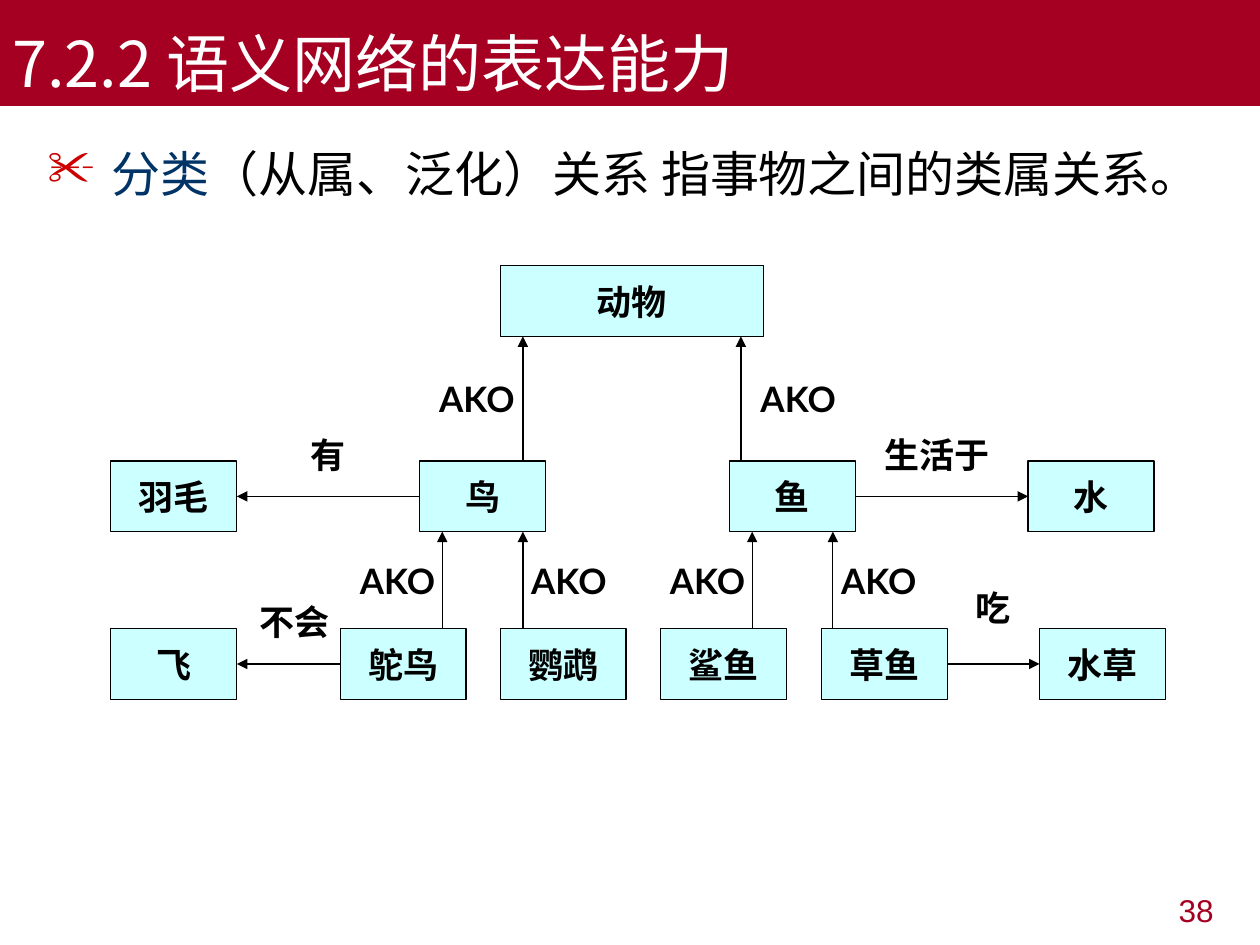
from dataclasses import dataclass
from typing import Optional

from lxml import etree
from pptx import Presentation
from pptx.dml.color import RGBColor
from pptx.enum import shapes, text
from pptx.oxml import ns
from pptx.util import Inches, Pt


@dataclass(frozen=True)
class Theme:
    crimson: RGBColor = RGBColor(0xA5, 0x00, 0x21)
    bullet: str = "CC0000"
    navy: RGBColor = RGBColor(0x00, 0x33, 0x66)
    node_fill: RGBColor = RGBColor(0xCC, 0xFF, 0xFF)
    black: RGBColor = RGBColor(0, 0, 0)
    white: RGBColor = RGBColor(0xFF, 0xFF, 0xFF)
    title_size: int = 36
    body_size: int = 28
    node_size: int = 20
    number_size: int = 18
    line_width: float = 0.75
    cjk_font: str = "Noto Sans CJK SC"
    body_font: str = "Arial"
    node_font: str = "Lato"


@dataclass(frozen=True)
class Node:
    name: str
    left: float
    top: float
    width: float = 1


@dataclass(frozen=True)
class Relation:
    """A sideways arrow between two nodes."""
    source: str
    target: str


@dataclass(frozen=True)
class Label:
    caption: str
    left: float
    top: float
    filled: bool = True


THEME = Theme()
NODE_HEIGHT = 0.56
LABEL_WIDTH, LABEL_HEIGHT = 0.55, 0.33
TOP_ROW, MIDDLE_ROW, BOTTOM_ROW = 2.11, 3.66, 4.99
TOP, LEFT, BOTTOM, RIGHT = range(4)

NODES = [
    Node("动物", 3.97, TOP_ROW, 2.09),
    *(Node(name, left, MIDDLE_ROW) for name, left in
      [("羽毛", 0.88), ("鸟", 3.33), ("鱼", 5.79), ("水", 8.16)]),
    *(Node(name, left, BOTTOM_ROW) for name, left in
      [("飞", 0.88), ("鸵鸟", 2.7), ("鹦鹉", 3.97),
       ("鲨鱼", 5.24), ("草鱼", 6.52), ("水草", 8.25)]),
]
RELATIONS = [Relation("鸟", "羽毛"), Relation("鱼", "水"),
             Relation("草鱼", "水草"), Relation("鸵鸟", "飞")]
# Row the arrows start from, row they reach, and their x positions
KIND_ARROWS = [(BOTTOM_ROW, MIDDLE_ROW, (3.51, 4.15, 5.97, 6.61)),
               (MIDDLE_ROW, TOP_ROW, (4.15, 5.88))]
LABELS = [
    *(Label("AKO", left, 4.44) for left in (2.88, 4.24, 5.34, 6.7)),
    *(Label("AKO", left, 3) for left in (6.06, 3.51)),
    Label("不会", 2.06, 4.77), Label("吃", 7.61, 4.66, filled=False),
    Label("有", 2.33, 3.44), Label("生活于", 7.16, 3.44),
]


def style_font(paragraph, size: int, name: str, color: Optional[RGBColor] = None,
               bold: bool = False) -> None:
    font = paragraph.font
    font.size, font.name, font.bold = Pt(size), name, bold
    if color is not None:
        font.color.rgb = color
    properties = paragraph._p.pPr.find(ns.qn("a:defRPr"))
    etree.SubElement(properties, ns.qn("a:ea"), typeface=THEME.cjk_font)


def add_box(slide, left: float, top: float, width: float, height: float,
            fill: Optional[RGBColor], outlined: bool = False):
    shape = slide.shapes.add_shape(shapes.MSO_SHAPE.RECTANGLE, Inches(left),
                                   Inches(top), Inches(width), Inches(height))
    shape.shadow.inherit = False
    if fill is None:
        shape.fill.background()
    else:
        shape.fill.solid()
        shape.fill.fore_color.rgb = fill
    if outlined:
        shape.line.color.rgb = THEME.black
        shape.line.width = Pt(THEME.line_width)
    else:
        shape.line.fill.background()
    return shape


def write_centred(shape, caption: str) -> None:
    frame = shape.text_frame
    frame.word_wrap = False
    frame.vertical_anchor = text.MSO_ANCHOR.MIDDLE
    paragraph = frame.paragraphs[0]
    paragraph.text = caption
    paragraph.alignment = text.PP_ALIGN.CENTER
    style_font(paragraph, THEME.node_size, THEME.node_font, THEME.black, bold=True)


def add_node(slide, node: Node):
    shape = add_box(slide, node.left, node.top, node.width, NODE_HEIGHT,
                    THEME.node_fill, outlined=True)
    write_centred(shape, node.name)
    return shape


def add_label(slide, label: Label) -> None:
    shape = add_box(slide, label.left, label.top, LABEL_WIDTH, LABEL_HEIGHT,
                    THEME.white if label.filled else None)
    write_centred(shape, label.caption)


def add_arrow(slide, x1: float, y1: float, x2: float, y2: float):
    arrow = slide.shapes.add_connector(shapes.MSO_CONNECTOR.STRAIGHT, Inches(x1),
                                       Inches(y1), Inches(x2), Inches(y2))
    arrow.line.color.rgb = THEME.black
    arrow.line.width = Pt(THEME.line_width)
    etree.SubElement(arrow.line._get_or_add_ln(), ns.qn("a:tailEnd"), type="triangle")
    etree.SubElement(arrow._element.spPr, ns.qn("a:effectLst"))
    return arrow


def add_relation(slide, relation: Relation, boxes: dict) -> None:
    source, target = boxes[relation.source], boxes[relation.target]
    rightward = target.left > source.left
    arrow = add_arrow(slide, 0, 0, 0, 0)
    arrow.begin_connect(source, RIGHT if rightward else LEFT)
    arrow.end_connect(target, LEFT if rightward else RIGHT)


def add_title(slide) -> None:
    frame = add_box(slide, 0, 0, 10, 0.84, THEME.crimson).text_frame
    frame.word_wrap = True
    frame.vertical_anchor = text.MSO_ANCHOR.BOTTOM
    paragraph = frame.paragraphs[0]
    paragraph.text = "7.2.2 语义网络的表达能力"
    paragraph.alignment = text.PP_ALIGN.LEFT
    style_font(paragraph, THEME.title_size, THEME.cjk_font, THEME.white)


def add_definition(slide) -> None:
    frame = slide.shapes.add_textbox(Inches(0.28), Inches(1),
                                     Inches(9.45), Inches(5.9)).text_frame
    frame.word_wrap = True
    paragraph = frame.paragraphs[0]
    paragraph.line_spacing = 1.2
    paragraph.space_before = Pt(7)
    properties = paragraph._p.get_or_add_pPr()
    properties.set("marL", str(Inches(0.51)))
    properties.set("indent", str(-Inches(0.51)))
    bullet_color = etree.SubElement(properties, ns.qn("a:buClr"))
    etree.SubElement(bullet_color, ns.qn("a:srgbClr"), val=THEME.bullet)
    etree.SubElement(properties, ns.qn("a:buChar"), char="✂")
    style_font(paragraph, THEME.body_size, THEME.body_font)
    for words, color in [("分类", THEME.navy),
                         ("（从属、泛化）关系 指事物之间的类属关系。", THEME.black)]:
        run = paragraph.add_run()
        run.text = words
        run.font.color.rgb = color


def add_page_number(slide) -> None:
    box = slide.shapes.add_textbox(Inches(7.4), Inches(7.02), Inches(2.33), Inches(0.52))
    box.text_frame.word_wrap = True
    paragraph = box.text_frame.paragraphs[0]
    paragraph.text = "38"
    paragraph.alignment = text.PP_ALIGN.RIGHT
    style_font(paragraph, THEME.number_size, THEME.body_font, THEME.crimson)


def main() -> None:
    presentation = Presentation()
    presentation.slide_width, presentation.slide_height = Inches(10), Inches(7.5)
    slide = presentation.slides.add_slide(presentation.slide_layouts[6])

    # Heading, definition and page number
    add_title(slide)
    add_definition(slide)
    add_page_number(slide)

    # Semantic network
    boxes = {node.name: add_node(slide, node) for node in NODES}
    for relation in RELATIONS:
        add_relation(slide, relation, boxes)
    for start_row, end_row, columns in KIND_ARROWS:
        for x in columns:
            add_arrow(slide, x, start_row, x, end_row + NODE_HEIGHT)
    for label in LABELS:
        add_label(slide, label)

    presentation.save("out.pptx")


if __name__ == "__main__":
    main()
